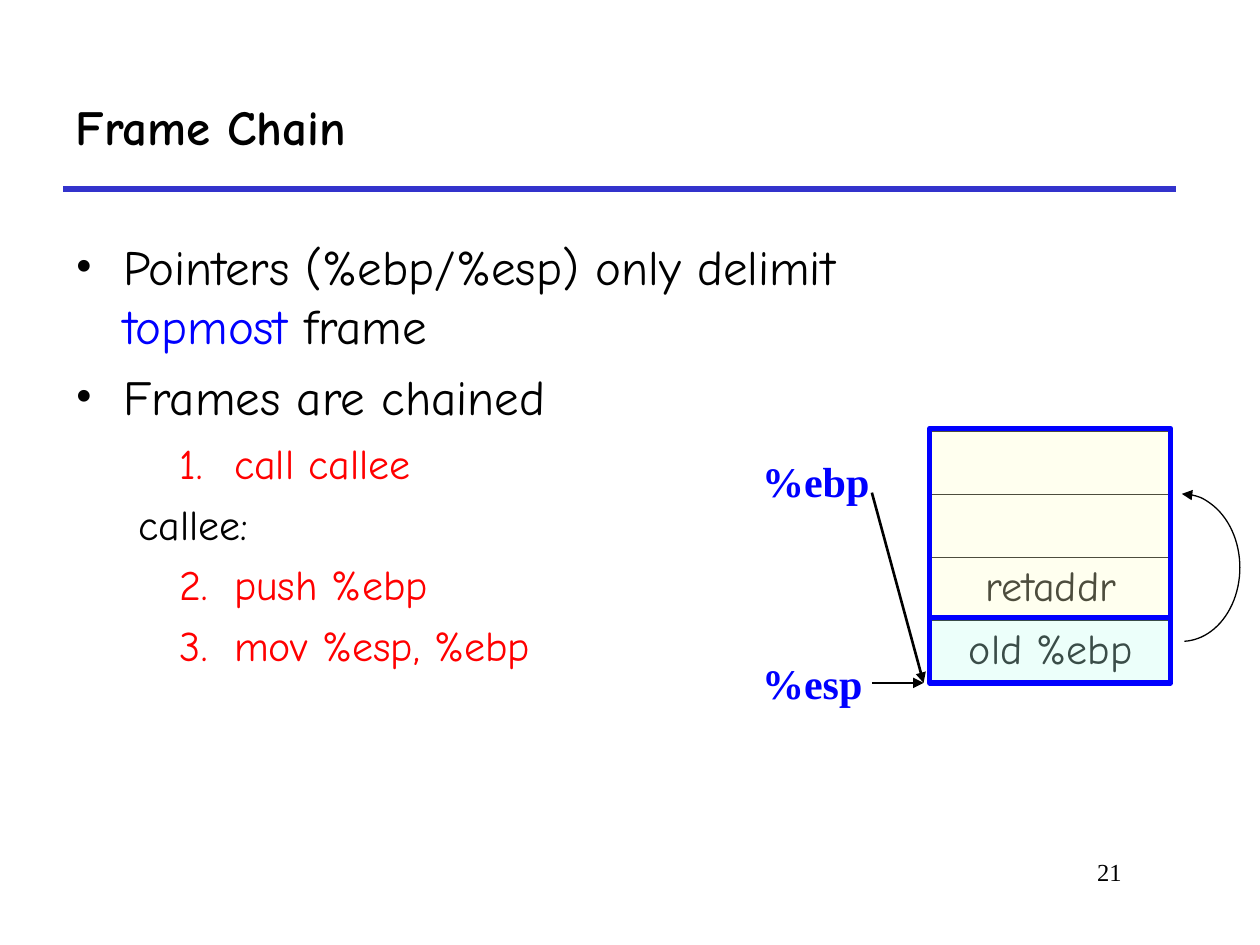
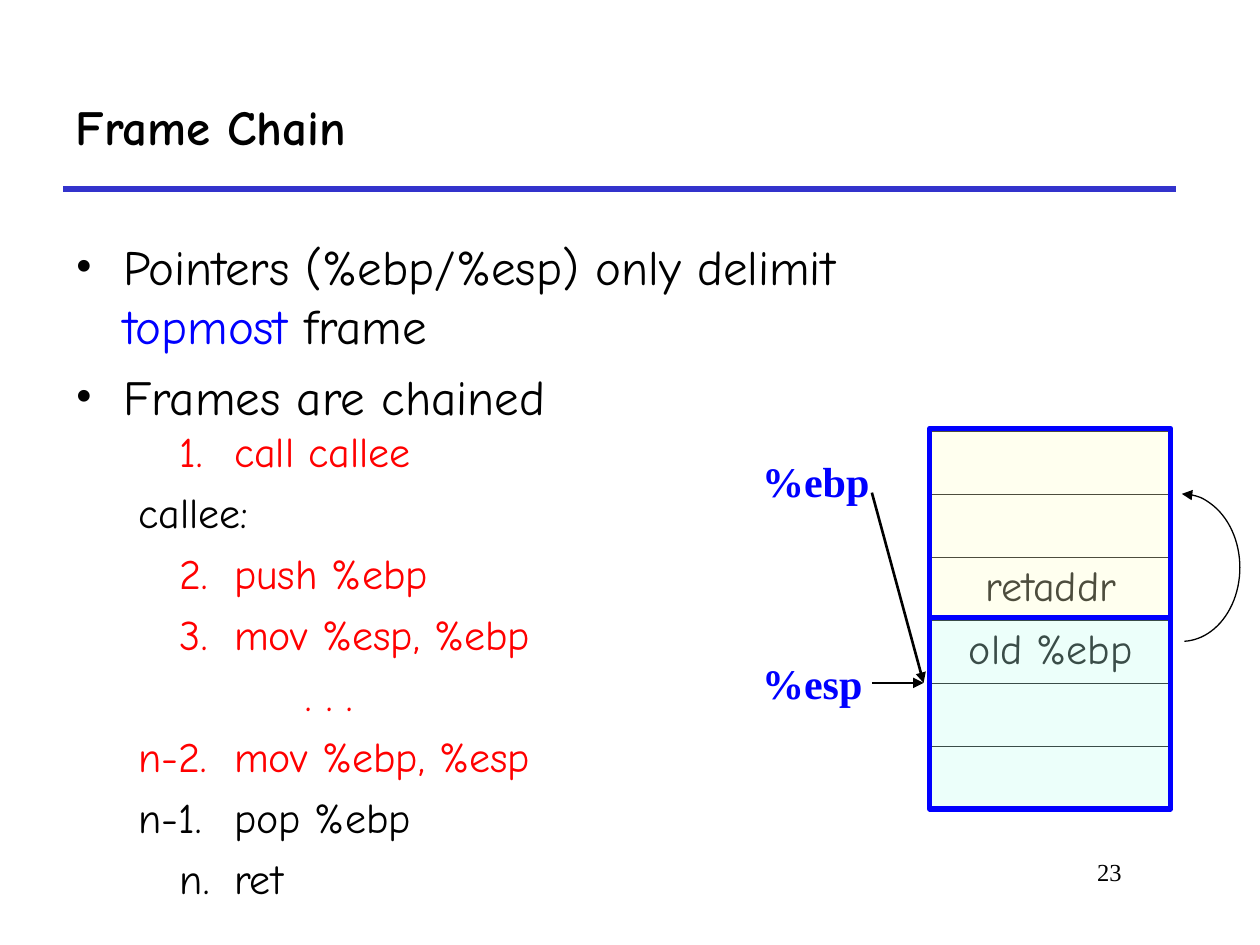
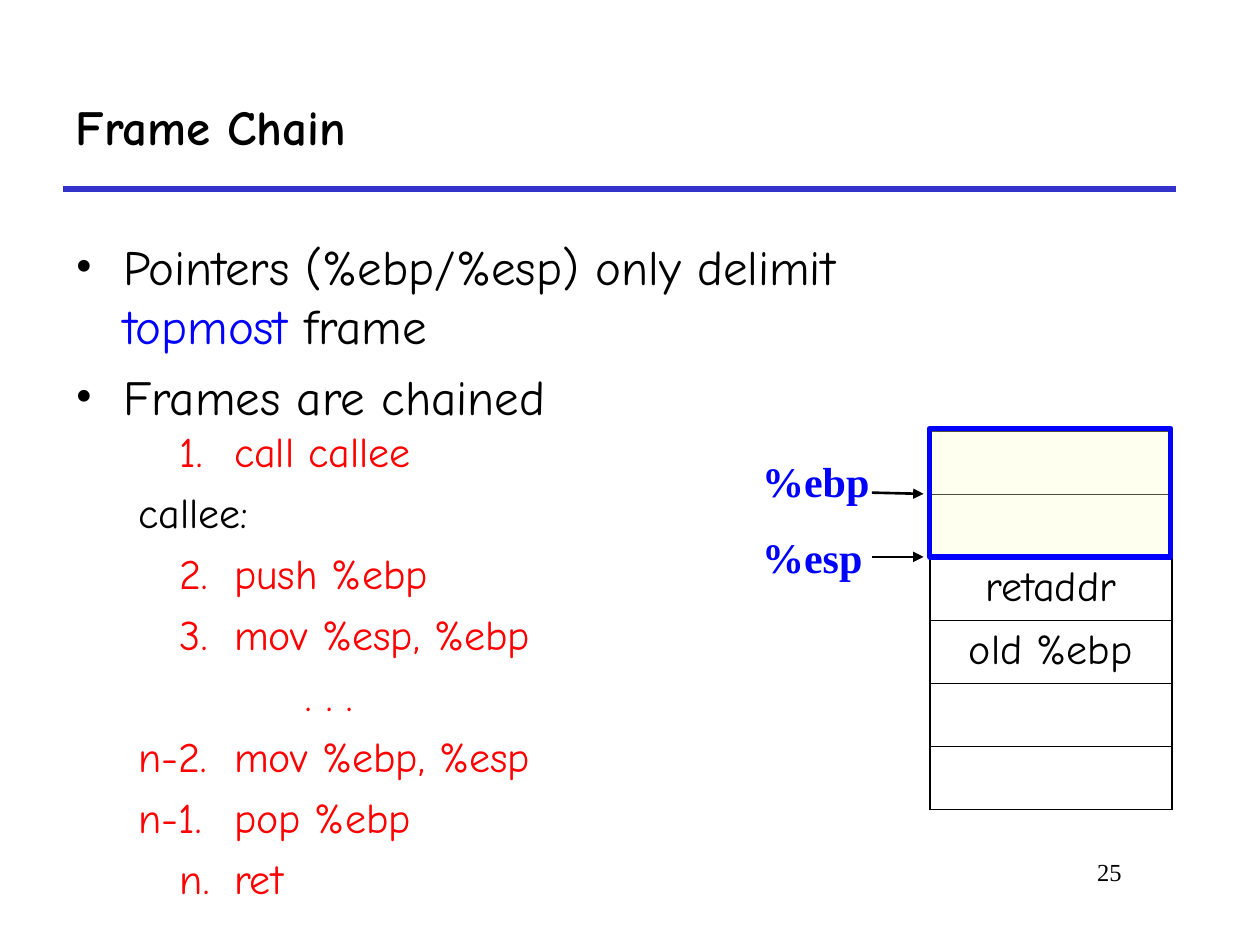
from lxml.etree import SubElement
from pptx import Presentation
from pptx.dml.color import RGBColor
from pptx.enum.shapes import MSO_CONNECTOR, MSO_SHAPE
from pptx.enum.text import MSO_ANCHOR, MSO_AUTO_SIZE, PP_ALIGN
from pptx.oxml.ns import qn
from pptx.util import Inches, Pt

BLACK = RGBColor(0x00, 0x00, 0x00)
WHITE = RGBColor(0xFF, 0xFF, 0xFF)
RED = RGBColor(0xFF, 0x00, 0x00)
BLUE = RGBColor(0x00, 0x00, 0xFF)
RULE_BLUE = RGBColor(0x33, 0x33, 0xCC)
CALLER_YELLOW = RGBColor(0xFF, 0xFF, 0xCC)
CALLEE_MINT = RGBColor(0xC2, 0xFF, 0xF0)

COMIC = "Comic Neue"
TIMES = "Times New Roman"

TITLE = "Frame Chain"
POINTS = [
    [("Pointers (%ebp/%esp) only delimit ", BLACK), ("topmost ", BLUE), ("frame", BLACK)],
    [("Frames are chained", BLACK)],
]

# Indents of the code listing, in inches
OUTER, INNER, INSTRUCTION, ELLIPSIS = 0.5, 0.83, 1.26, 1.83

# (indent, step number, text)
PROLOGUE = [
    (INNER, "1.", "call callee"),
    (OUTER, "", "callee:"),
    (INNER, "2.", "push %ebp"),
    (INNER, "3.", "mov %esp, %ebp"),
]
EPILOGUE = [
    (ELLIPSIS, "", ". . ."),
    (OUTER, "n-2.", "mov %ebp, %esp"),
    (OUTER, "n-1.", "pop %ebp"),
    (INNER, "n.", "ret"),
]
WHOLE_CALL = PROLOGUE + EPILOGUE

STACK = ["", "", "retaddr", "old %ebp", "", ""]
STACK_LEFT, STACK_TOP, STACK_WIDTH, WORD = 7.38, 3.42, 1.92, 0.5
FRAME_TOP, FRAME_WIDTH = 3.4, 1.91
CALLEE_TOP = 4.9

# ebp and esp: number of stack words above the place each points to
# caller and callee: frame heights in inches
SLIDES = [
    dict(page="21", steps=PROLOGUE, steps_top=3.42, pending=["callee:"],
         words=4, caller=1.5, callee=0.52, ebp=4, esp=4),
    dict(page="23", steps=WHOLE_CALL, steps_top=3.33,
         pending=["callee:", "pop %ebp", "ret"],
         words=6, caller=1.5, callee=1.52, ebp=4, esp=4),
    dict(page="25", steps=WHOLE_CALL, steps_top=3.33, pending=["callee:"],
         words=6, caller=1.02, callee=0, ebp=1, esp=2),
]


def set_font(paragraph, name, size, color=BLACK, bold=False):
    font = paragraph.font
    font.name, font.size, font.bold = name, Pt(size), bold
    font.color.rgb = color


def add_text_frame(slide, left, top, width, height):
    box = slide.shapes.add_textbox(Inches(left), Inches(top), Inches(width), Inches(height))
    box.text_frame.word_wrap = True
    return box.text_frame


def add_paragraphs(frame, count):
    """Return count paragraphs, the first being the one the frame already has."""
    return [frame.paragraphs[0]] + [frame.add_paragraph() for _ in range(count - 1)]


def set_indent(paragraph, margin, first_line):
    properties = paragraph._p.get_or_add_pPr()
    properties.set("marL", str(Inches(margin)))
    properties.set("indent", str(Inches(first_line - margin)))
    return properties


def add_line(slide, start, end, color, width, arrow=False):
    line = slide.shapes.add_connector(
        MSO_CONNECTOR.STRAIGHT, *(Inches(value) for value in start + end))
    line.line.color.rgb = color
    line.line.width = Pt(width)
    if arrow:
        SubElement(line.line._get_or_add_ln(), qn("a:tailEnd"), type="triangle")
    SubElement(line._element.spPr, qn("a:effectLst"))


def add_title(slide):
    title = slide.shapes.title
    title.left, title.top = Inches(0.5), Inches(0.5)
    title.width, title.height = Inches(8.83), Inches(1)
    frame = title.text_frame
    frame.text = TITLE
    frame.vertical_anchor = MSO_ANCHOR.MIDDLE
    frame.auto_size = MSO_AUTO_SIZE.NONE
    frame.paragraphs[0].alignment = PP_ALIGN.LEFT
    set_font(frame.paragraphs[0], COMIC, 28, bold=True)
    add_line(slide, (0.5, 1.5), (9.33, 1.5), RULE_BLUE, 3)


def add_page_number(slide, page):
    number = add_text_frame(slide, 7.58, 6.75, 1.42, 0.5).paragraphs[0]
    number.text = page
    number.alignment = PP_ALIGN.RIGHT
    set_font(number, TIMES, 14)


def add_points(slide):
    frame = add_text_frame(slide, 0.5, 1.83, 6.63, 1.67)
    for paragraph, point in zip(add_paragraphs(frame, len(POINTS)), POINTS):
        paragraph.space_before = Pt(7)
        set_font(paragraph, COMIC, 28)
        properties = set_indent(paragraph, 0.38, 0)
        for tag, attributes in (("a:buFont", {"typeface": TIMES}), ("a:buChar", {"char": "•"})):
            bullet = SubElement(properties, qn(tag), attributes)
            paragraph.font._element.addprevious(bullet)
        for text, color in point:
            run = paragraph.add_run()
            run.text = text
            run.font.size = Pt(28)
            run.font.color.rgb = color


def add_steps(slide, steps, top, pending):
    """List the code; the steps in pending stay black, the others are red."""
    frame = add_text_frame(slide, 0.5, top, 5, 3.89)
    for paragraph, (indent, number, text) in zip(add_paragraphs(frame, len(steps)), steps):
        paragraph.text = f"{number}\t{text}" if number else text
        paragraph.space_before = Pt(6)
        set_indent(paragraph, INSTRUCTION if number else indent, indent)
        set_font(paragraph, COMIC, 24, BLACK if text in pending else RED)


def set_borders(cell):
    properties = cell._tc.get_or_add_tcPr()
    for side, width in (("L", 1.08), ("R", 1.08), ("T", 0.45), ("B", 0.45)):
        border = SubElement(properties, qn(f"a:ln{side}"), w=str(Pt(width)))
        fill = SubElement(border, qn("a:solidFill"))
        SubElement(fill, qn("a:srgbClr"), val=str(BLACK))


def add_stack(slide, words):
    table = slide.shapes.add_table(
        words, 1, Inches(STACK_LEFT), Inches(STACK_TOP),
        Inches(STACK_WIDTH), Inches(WORD * words)).table
    table.first_row = table.horz_banding = False
    for row, word in enumerate(STACK[:words]):
        cell = table.cell(row, 0)
        set_borders(cell)
        cell.fill.solid()
        cell.fill.fore_color.rgb = WHITE
        if word:
            cell.text = word
            paragraph = cell.text_frame.paragraphs[0]
            paragraph.alignment = PP_ALIGN.CENTER
            paragraph.space_before = Pt(15)
            set_font(paragraph, COMIC, 24)


def add_frame(slide, top, height, color):
    """Cover part of the stack with a tinted, see-through frame."""
    box = slide.shapes.add_shape(
        MSO_SHAPE.RECTANGLE, Inches(STACK_LEFT), Inches(top),
        Inches(FRAME_WIDTH), Inches(height))
    box.shadow.inherit = False
    box.fill.solid()
    box.fill.fore_color.rgb = color
    tint = box._element.spPr.find(f".//{qn('a:srgbClr')}")
    SubElement(tint, qn("a:alpha"), val="30000")
    box.line.color.rgb = BLUE
    box.line.width = Pt(3)


def add_pointer(slide, register, top, start_y, target_y):
    frame = add_text_frame(slide, 5.95, top, 1.05, 0.5)
    frame.word_wrap = False
    frame.auto_size = MSO_AUTO_SIZE.SHAPE_TO_FIT_TEXT
    label = frame.paragraphs[0]
    label.text = register
    label.space_before = Pt(15)
    set_font(label, TIMES, 24, BLUE, bold=True)
    add_line(slide, (6.92, start_y), (7.33, target_y), BLACK, 1.5, arrow=True)


def add_chain_link(slide):
    """Draw the arc from the saved %ebp back to the caller's frame."""
    link = slide.shapes.add_shape(
        MSO_SHAPE.ARC, Inches(8.92), Inches(3.92), Inches(0.92), Inches(1.17))
    link.adjustments[0] = 162
    link.adjustments[1] = 52.8
    link.shadow.inherit = False
    link.fill.background()
    link.line.color.rgb = BLACK
    link.line.width = Pt(0.75)
    SubElement(link.line._get_or_add_ln(), qn("a:headEnd"), type="triangle")


def build_slide(deck, content):
    slide = deck.slides.add_slide(deck.slide_layouts[5])
    add_title(slide)
    add_stack(slide, content["words"])
    if content["callee"]:
        add_frame(slide, CALLEE_TOP, content["callee"], CALLEE_MINT)
    add_frame(slide, FRAME_TOP, content["caller"], CALLER_YELLOW)
    add_page_number(slide, content["page"])
    add_points(slide)
    ebp_y, esp_y = (STACK_TOP + WORD * content[name] for name in ("ebp", "esp"))
    add_pointer(slide, "%ebp", 3.57, 3.91, ebp_y)
    add_pointer(slide, "%esp", esp_y - 0.25, esp_y, esp_y)
    add_steps(slide, content["steps"], content["steps_top"], content["pending"])
    if content["callee"]:
        add_chain_link(slide)


def main():
    deck = Presentation()
    deck.slide_width, deck.slide_height = Inches(10), Inches(7.5)
    for content in SLIDES:
        build_slide(deck, content)
    deck.save("out.pptx")


if __name__ == "__main__":
    main()
